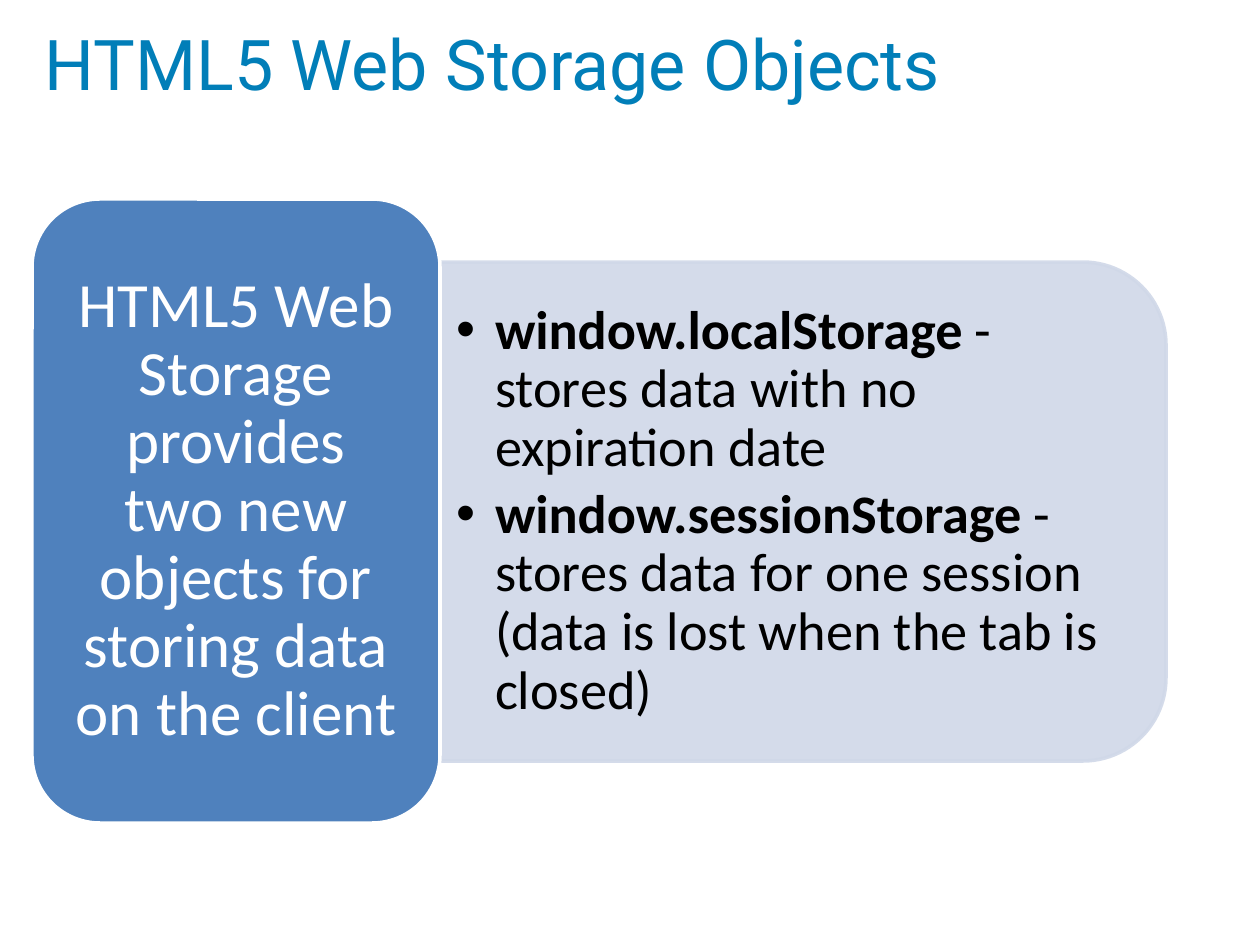
from dataclasses import dataclass

from lxml import etree
from pptx import Presentation
from pptx import util as u
from pptx.dml.color import RGBColor
from pptx.enum import shapes, text
from pptx.oxml.ns import qn

SCALE = u.Inches(1) / 126


@dataclass(frozen=True)
class Theme:
    title: str = "017EB8"
    card: str = "4F81BD"
    panel: str = "D0D8E8"
    light: str = "FFFFFF"
    dark: str = "000000"
    head: str = "Roboto"
    body: str = "Calibri"
    big: int = 40
    mid: int = 36
    small: int = 31
    edge: int = 2
    alpha: int = 90


THEME = Theme()
ITEMS = [
    ("window.localStorage", " - stores data with no expiration date"),
    ("window.sessionStorage",
     " - stores data for one session (data is lost when the tab is closed)"),
]


def px(n):
    return u.Emu(round(n * SCALE))


def place(shape, box):
    shape.left, shape.top, shape.width, shape.height = map(px, box)


def style(font, face, size, color):
    font.name, font.size = face, u.Pt(size)
    font.color.rgb = RGBColor.from_string(color)


def frame(shape, across, down):
    """Set up wrapped, middle-anchored text with the given margins."""
    area = shape.text_frame
    area.word_wrap = True
    area.auto_size = text.MSO_AUTO_SIZE.NONE
    area.vertical_anchor = text.MSO_ANCHOR.MIDDLE
    area.margin_left = area.margin_right = px(across)
    area.margin_top = area.margin_bottom = px(down)
    return area


def add_block(slide, kind, box, fill, line):
    block = slide.shapes.add_shape(kind, *map(px, box))
    block.shadow.inherit = False
    block.fill.solid()
    block.fill.fore_color.rgb = RGBColor.from_string(fill)
    block.line.color.rgb = RGBColor.from_string(line)
    block.line.width = u.Pt(THEME.edge)
    return block


def add_title(slide, box):
    title = slide.shapes.title
    place(title, box)
    para = frame(title, 13, 6).paragraphs[0]
    para.text = "HTML5 Web Storage Objects"
    para.alignment = text.PP_ALIGN.LEFT
    style(para.font, THEME.head, THEME.big, THEME.title)


def add_panel(slide, box):
    """Draw the panel as a top-rounded shape turned to round its right side."""
    left, top, wide, high = box
    shift = (wide - high) / 2
    panel = add_block(slide, shapes.MSO_SHAPE.ROUND_2_SAME_RECTANGLE,
                      (left + shift, top - shift, high, wide),
                      THEME.panel, THEME.panel)
    panel.rotation = 90
    for color in panel.element.spPr.iter(qn("a:srgbClr")):
        etree.SubElement(color, qn("a:alpha"), val=str(THEME.alpha * 1000))
    return panel


def add_list(slide, box):
    left, top, wide, high = box
    panel = add_panel(slide, box)
    body = slide.placeholders[1]
    panel.element.addnext(body.element)  # list in front of its panel
    place(body, (left, top + 24, wide - 24, high - 48))
    area = frame(body, 16, 8)
    for i, (name, note) in enumerate(ITEMS):
        para = area.add_paragraph() if i else area.paragraphs[0]
        para.level = 1
        para.alignment = text.PP_ALIGN.LEFT
        para.line_spacing = 0.9
        para.space_before, para.space_after = u.Pt(0), u.Pt(4.65)
        style(para.font, THEME.body, THEME.small, THEME.dark)
        props = para._p.get_or_add_pPr()
        props.set("marL", str(px(39)))
        props.set("indent", str(px(-39)))
        bullet = etree.Element(qn("a:buChar"), char="•")
        props.find(qn("a:defRPr")).addprevious(bullet)
        for words, bold in ((name, True), (note, False)):
            run = para.add_run()
            run.text, run.font.bold = words, bold


def add_card(slide, box):
    card = add_block(slide, shapes.MSO_SHAPE.ROUNDED_RECTANGLE, box,
                     THEME.card, THEME.light)
    para = frame(card, 19, 9).paragraphs[0]
    para.text = ("HTML5 Web Storage provides two new objects "
                 "for storing data on the client")
    para.alignment = text.PP_ALIGN.CENTER
    para.line_spacing = 0.9
    style(para.font, THEME.body, THEME.mid, THEME.light)


def main():
    deck = Presentation()
    deck.slide_width, deck.slide_height = px(1260), px(945)
    slide = deck.slides.add_slide(deck.slide_layouts[1])
    add_title(slide, (32, 0, 1134, 126))
    add_list(slide, (440, 262, 726, 499))
    add_card(slide, (32, 199, 408, 624))
    deck.save("out.pptx")


if __name__ == "__main__":
    main()
